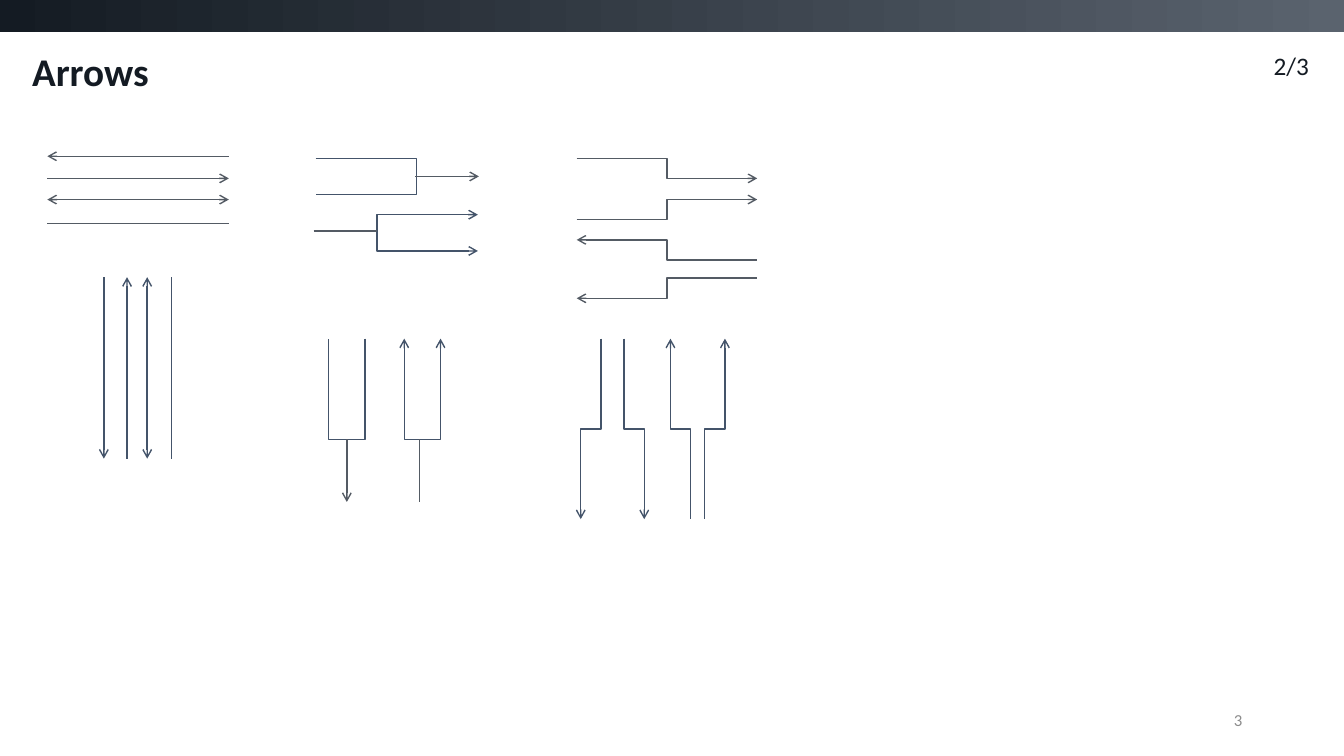
"""Build the arrows slide: straight, forked and stepped arrows in both directions."""
from dataclasses import dataclass

import lxml.etree
import pptx
import pptx.dml.color
import pptx.enum.shapes
import pptx.enum.text
import pptx.oxml.ns
import pptx.util

RGBColor = pptx.dml.color.RGBColor
CONNECTOR = pptx.enum.shapes.MSO_CONNECTOR
ALIGN = pptx.enum.text.PP_ALIGN
ANCHOR = pptx.enum.text.MSO_ANCHOR
qn = pptx.oxml.ns.qn

INK = RGBColor(0x14, 0x1B, 0x23)
STEEL = RGBColor(0x5A, 0x63, 0x6E)
GREY = RGBColor(0x54, 0x5B, 0x64)
NAVY = RGBColor(0x44, 0x54, 0x6A)
MUTED = RGBColor(0x8C, 0x8C, 0x8C)
EMU_PER_PX = 9144
Point = tuple[int, int]


@dataclass
class Label:
    """A single line of text in a box."""
    text: str
    box: tuple[int, int, int, int]
    size: int
    color: RGBColor
    align: ALIGN = ALIGN.RIGHT
    anchor: ANCHOR = ANCHOR.MIDDLE
    bold: bool = False


@dataclass
class Arrow:
    """A straight or stepped line with optional arrowheads."""
    begin: Point
    end: Point
    head: bool = False
    tail: bool = False
    color: RGBColor = GREY


@dataclass
class Fork:
    """A three-sided bracket, given by its first tip, arm and gap vectors, and a stem."""
    tip: Point
    arm: Point
    gap: Point
    arrows: bool
    stem: Arrow


LABELS = [
    Label("3", (942, 695, 300, 40), 12, MUTED),
    Label("Arrows", (22, 43, 714, 61), 28, INK, ALIGN.LEFT, bold=True),
    Label("2/3", (1193, 48, 115, 51), 18, INK, anchor=ANCHOR.TOP),
]
STRAIGHT = [
    Arrow((47, y), (227, y), head, tail)
    for y, head, tail in [(155, True, False), (177, False, True), (198, True, True), (222, False, False)]
] + [
    Arrow((x, 455), (x, 275), head, tail, NAVY)
    for x, head, tail in [(103, True, False), (126, False, True), (146, True, True), (170, False, False)]
]
STEPS_ACROSS = [
    Arrow((572, y), (751, y + step), head, not head)
    for y, step, head in [(157, 20, False), (218, -20, False), (238, 20, True), (296, -20, True)]
]
STEPS_DOWN = [
    Arrow((x, 336), (x + step, 515), head, not head, NAVY)
    for x, step, head in [(596, -20, False), (619, 20, False), (719, -20, True), (665, 20, True)]
]
FORKS = [
    Fork((313, 157), (100, 0), (0, 36), False, Arrow((412, 175), (475, 175), tail=True)),
    Fork((474, 249), (-100, 0), (0, -36), True, Arrow((311, 229), (374, 229))),
    Fork((362, 336), (0, 100), (-36, 0), False, Arrow((344, 436), (344, 498), tail=True)),
    Fork((437, 336), (0, 100), (-36, 0), True, Arrow((416, 498), (416, 436))),
]


def px(n: float) -> int:
    """Turn px into EMU."""
    return round(n * EMU_PER_PX)


def style_line(s, color: RGBColor, head: bool, tail: bool) -> None:
    """Set the stroke and arrowheads of a line and remove its shadow."""
    s.line.color.rgb = color
    s.line.width = pptx.util.Pt(1)
    props = s._element.spPr
    ln = props.find(qn("a:ln"))
    for tag, shown in (("a:headEnd", head), ("a:tailEnd", tail)):
        if shown:
            lxml.etree.SubElement(ln, qn(tag), type="arrow")
    lxml.etree.SubElement(props, qn("a:effectLst"))


def draw_arrow(shapes, arrow: Arrow, kind: CONNECTOR = CONNECTOR.STRAIGHT):
    """Draw an arrow from its begin point to its end point."""
    s = shapes.add_connector(kind, *map(px, arrow.begin + arrow.end))
    style_line(s, arrow.color, arrow.head, arrow.tail)
    return s


def draw_step_down(shapes, arrow: Arrow) -> None:
    """Draw a stepped arrow that leaves and arrives vertically, as a quarter turn."""
    (x1, y1), (x2, y2) = arrow.begin, arrow.end
    cx, cy = (x1 + x2) / 2, (y1 + y2) / 2
    half_run, half_step = (y2 - y1) / 2, (x1 - x2) / 2
    flat = Arrow((cx - half_run, cy - half_step), (cx + half_run, cy + half_step),
                 arrow.head, arrow.tail, arrow.color)
    s = draw_arrow(shapes, flat, CONNECTOR.ELBOW)
    s._element.spPr.find(qn("a:xfrm")).set("rot", "5400000")


def draw_fork(shapes, fork: Fork) -> None:
    """Draw a bracket and its stem as one group."""
    group = shapes.add_group_shape().shapes
    (x, y), (ax, ay), (gx, gy) = fork.tip, fork.arm, fork.gap
    builder = group.build_freeform(x, y, scale=EMU_PER_PX)
    corners = [(x + ax, y + ay), (x + ax + gx, y + ay + gy), (x + gx, y + gy)]
    builder.add_line_segments(corners, close=False)
    s = builder.convert_to_shape()
    s.fill.background()
    style_line(s, NAVY, fork.arrows, fork.arrows)
    draw_arrow(group, fork.stem)


def draw_label(shapes, label: Label) -> None:
    """Draw one text box."""
    tf = shapes.add_textbox(*map(px, label.box)).text_frame
    tf.word_wrap = True
    tf.vertical_anchor = label.anchor
    p = tf.paragraphs[0]
    p.text = label.text
    p.alignment = label.align
    p.line_spacing = 0.9
    p.font.name = "Calibri"
    p.font.size = pptx.util.Pt(label.size)
    p.font.bold = label.bold
    p.font.color.rgb = label.color


def draw_band(shapes) -> None:
    """Draw the gradient band along the top edge."""
    s = shapes.add_shape(pptx.enum.shapes.MSO_SHAPE.RECTANGLE, 0, 0, px(1333), px(32))
    s.shadow.inherit = False
    s.line.fill.background()
    s.fill.gradient()
    s.fill.gradient_angle = 0
    for stop, color in zip(s.fill.gradient_stops, (INK, STEEL)):
        stop.color.rgb = color


def main() -> None:
    """Build and save the slide."""
    prs = pptx.Presentation()
    prs.slide_width, prs.slide_height = px(1333), px(750)
    shapes = prs.slides.add_slide(prs.slide_layouts[6]).shapes
    draw_band(shapes)
    for label in LABELS:
        draw_label(shapes, label)
    for arrow in STRAIGHT:
        draw_arrow(shapes, arrow)
    for arrow in STEPS_ACROSS:
        draw_arrow(shapes, arrow, CONNECTOR.ELBOW)
    for arrow in STEPS_DOWN:
        draw_step_down(shapes, arrow)
    for fork in FORKS:
        draw_fork(shapes, fork)
    prs.save("out.pptx")


if __name__ == "__main__":
    main()
